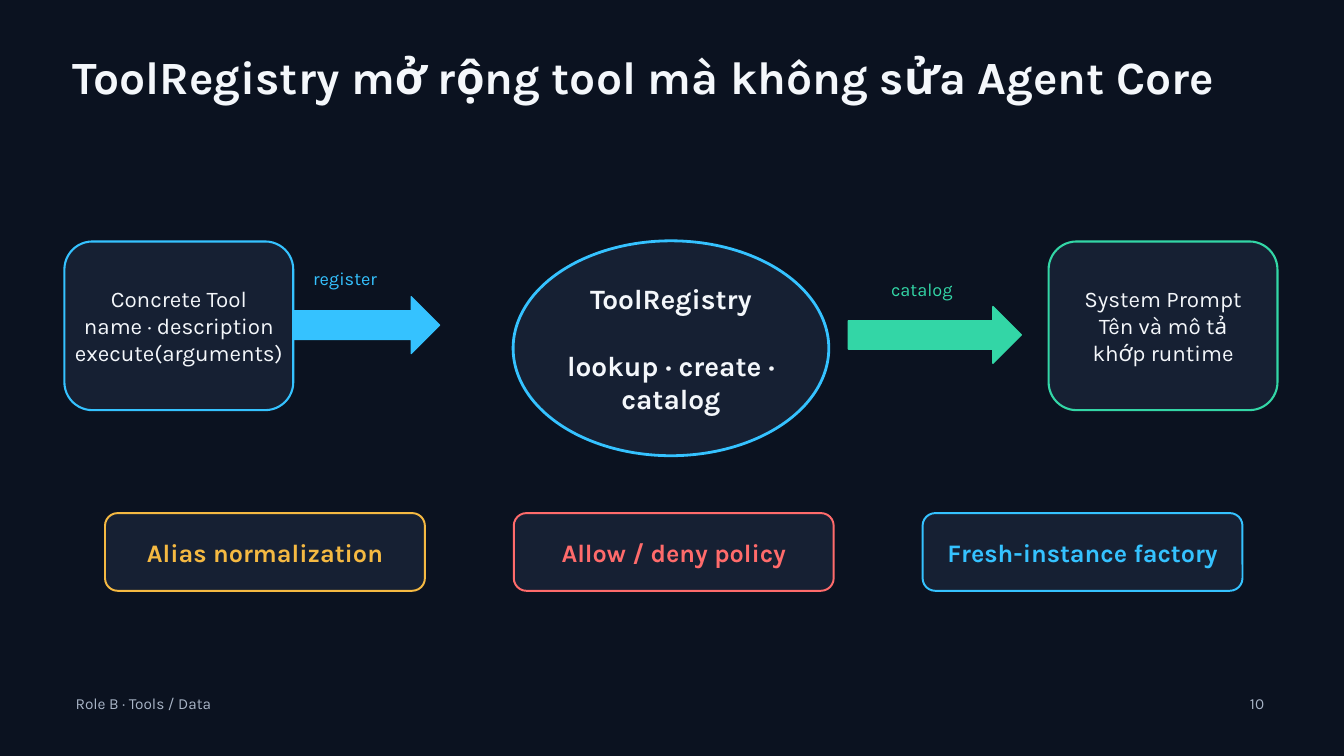
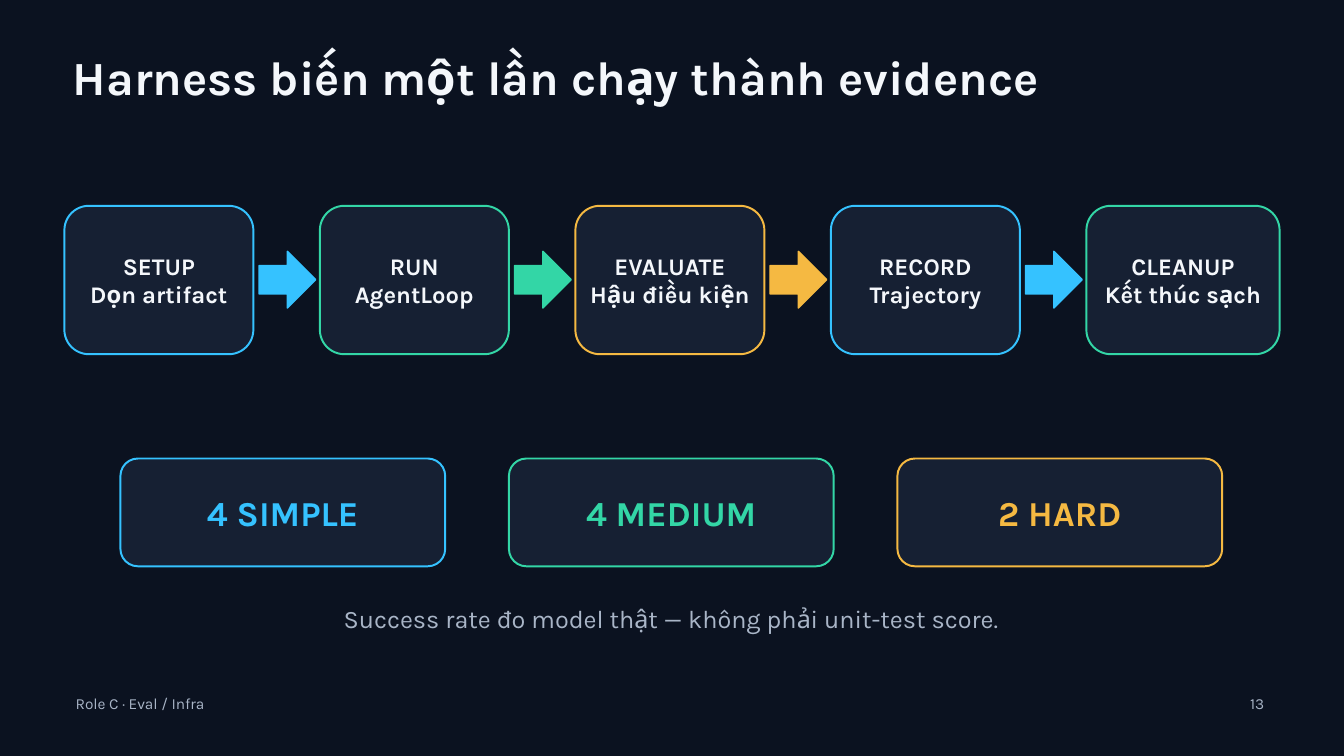
from dataclasses import dataclass

import pptx
import pptx.util
from pptx.dml.color import RGBColor
from pptx.enum.shapes import MSO_SHAPE
from pptx.enum.text import MSO_ANCHOR, PP_ALIGN

EMU_PER_PX = 9525
TITLE_ONLY = 5


@dataclass(frozen=True)
class Theme:
    font: str = "Karla"
    background: str = "0B1220"
    panel: str = "162033"
    text: str = "F4F7FB"
    muted: str = "A9B5C7"
    blue: str = "35C2FF"
    green: str = "33D6A6"
    amber: str = "F5B942"
    red: str = "FF6B6B"
    long_title: float = 49.5
    title: float = 51
    stat: float = 37.5
    hub: float = 30
    highlight: float = 27
    step: float = 25.5
    body: float = 24
    label: float = 19.5
    footer: float = 16.5
    line: float = 2.1
    body_line: float = 2.25
    hub_line: float = 3
    arrow_line: float = 1.5


THEME = Theme()


def px(length):
    return pptx.util.Emu(round(length * EMU_PER_PX))


def color(value):
    return RGBColor.from_string(value)


def write(shape, lines, size, text_color, bold=False, align=PP_ALIGN.CENTER,
          anchor=MSO_ANCHOR.TOP, gap=0):
    """Fill a shape with one paragraph per line; gap is the space between them in points."""
    frame = shape.text_frame
    frame.word_wrap = True
    frame.vertical_anchor = anchor
    frame.margin_left = frame.margin_right = frame.margin_top = frame.margin_bottom = 0
    frame.text = "\n".join(lines)
    for index, paragraph in enumerate(frame.paragraphs):
        paragraph.alignment = align
        paragraph.line_spacing = pptx.util.Pt(size * 1.2)
        paragraph.space_before = pptx.util.Pt(gap if index else 0)
        paragraph.font.name = THEME.font
        paragraph.font.size = pptx.util.Pt(size)
        paragraph.font.bold = bold
        paragraph.font.color.rgb = color(text_color)


def add_label(slide, box, text, size, text_color, align=PP_ALIGN.CENTER):
    label = slide.shapes.add_textbox(*map(px, box))
    write(label, [text], size, text_color, align=align)


def add_outlined(slide, kind, box, fill, line, line_width):
    shape = slide.shapes.add_shape(kind, *map(px, box))
    shape.shadow.inherit = False
    shape.fill.solid()
    shape.fill.fore_color.rgb = color(fill)
    shape.line.color.rgb = color(line)
    shape.line.width = pptx.util.Pt(line_width)
    return shape


def add_arrow(slide, left, top, width, fill):
    box = (left, top, width, 81)
    add_outlined(slide, MSO_SHAPE.RIGHT_ARROW, box, fill, fill, THEME.arrow_line)


def add_card(slide, box, radius, accent, lines, size, text_color,
             bold=True, line_width=THEME.line):
    card = add_outlined(slide, MSO_SHAPE.ROUNDED_RECTANGLE, box, THEME.panel, accent, line_width)
    card.adjustments[0] = radius / min(box[2:])
    write(card, lines, size, text_color, bold, anchor=MSO_ANCHOR.MIDDLE)


def add_accent_row(slide, first_box, pitch, radius, items, size):
    """Place equally spaced cards whose text has the colour of the outline."""
    left, top, width, height = first_box
    for index, (text, accent) in enumerate(items):
        box = (left + index * pitch, top, width, height)
        add_card(slide, box, radius, accent, [text], size, accent)


def add_slide(presentation, title, title_size, role, number):
    slide = presentation.slides.add_slide(presentation.slide_layouts[TITLE_ONLY])
    heading = slide.shapes.title
    heading.left, heading.top, heading.width, heading.height = map(px, (104, 69, 1710, 100))
    write(heading, [title], title_size, THEME.text, bold=True, align=PP_ALIGN.LEFT)
    add_label(slide, (108, 992, 470, 34), role, THEME.footer, THEME.muted, PP_ALIGN.LEFT)
    add_label(slide, (1753, 992, 53, 34), number, THEME.footer, THEME.muted, PP_ALIGN.RIGHT)
    return slide


def build_registry_slide(presentation):
    slide = add_slide(presentation, "ToolRegistry mở rộng tool mà không sửa Agent Core",
                      THEME.long_title, "Role B · Tools / Data", "10")
    hub = add_outlined(slide, MSO_SHAPE.OVAL, (733, 344, 451, 307),
                       THEME.panel, THEME.blue, THEME.hub_line)
    write(hub, ["ToolRegistry", "lookup · create · catalog"], THEME.hub, THEME.text,
          bold=True, anchor=MSO_ANCHOR.MIDDLE, gap=36)

    flows = [
        (381, 424, (427, 382), "register", THEME.blue, 92,
         ["Concrete Tool", "name · description", "execute(arguments)"]),
        (1212, 438, (1251, 397), "catalog", THEME.green, 1498,
         ["System Prompt", "Tên và mô tả", "khớp runtime"]),
    ]
    for arrow_left, arrow_top, label_at, label, accent, card_left, lines in flows:
        add_arrow(slide, arrow_left, arrow_top, 247, accent)
        add_label(slide, (*label_at, 132, 31), label, THEME.label, accent)
        add_card(slide, (card_left, 345, 327, 241), 40, accent, lines, THEME.body,
                 THEME.text, bold=False, line_width=THEME.body_line)

    features = [("Alias normalization", THEME.amber),
                ("Allow / deny policy", THEME.red),
                ("Fresh-instance factory", THEME.blue)]
    add_accent_row(slide, (150, 733, 457, 111), 584, 18, features, THEME.highlight)


def build_harness_slide(presentation):
    slide = add_slide(presentation, "Harness biến một lần chạy thành evidence",
                      THEME.title, "Role C · Eval / Infra", "13")
    steps = [("SETUP", "Dọn artifact", THEME.blue),
             ("RUN", "AgentLoop", THEME.green),
             ("EVALUATE", "Hậu điều kiện", THEME.amber),
             ("RECORD", "Trajectory", THEME.blue),
             ("CLEANUP", "Kết thúc sạch", THEME.green)]
    for index, (name, detail, accent) in enumerate(steps):
        left = 92 + index * 365
        is_last = index == len(steps) - 1
        width = 276 if is_last else 270
        add_card(slide, (left, 294, width, 212), 35, accent, [name, detail],
                 THEME.step, THEME.text)
        if not is_last:
            add_arrow(slide, left + width + 8, 359, 81, accent)

    levels = [("4 SIMPLE", THEME.blue), ("4 MEDIUM", THEME.green), ("2 HARD", THEME.amber)]
    add_accent_row(slide, (172, 655, 464, 154), 555, 25, levels, THEME.stat)
    add_label(slide, (305, 862, 1307, 51),
              "Success rate đo model thật — không phải unit-test score.",
              THEME.highlight, THEME.muted)


def main():
    presentation = pptx.Presentation()
    presentation.slide_width, presentation.slide_height = px(1920), px(1080)
    background = presentation.slide_master.background.fill
    background.solid()
    background.fore_color.rgb = color(THEME.background)
    build_registry_slide(presentation)
    build_harness_slide(presentation)
    presentation.save("out.pptx")


if __name__ == "__main__":
    main()
